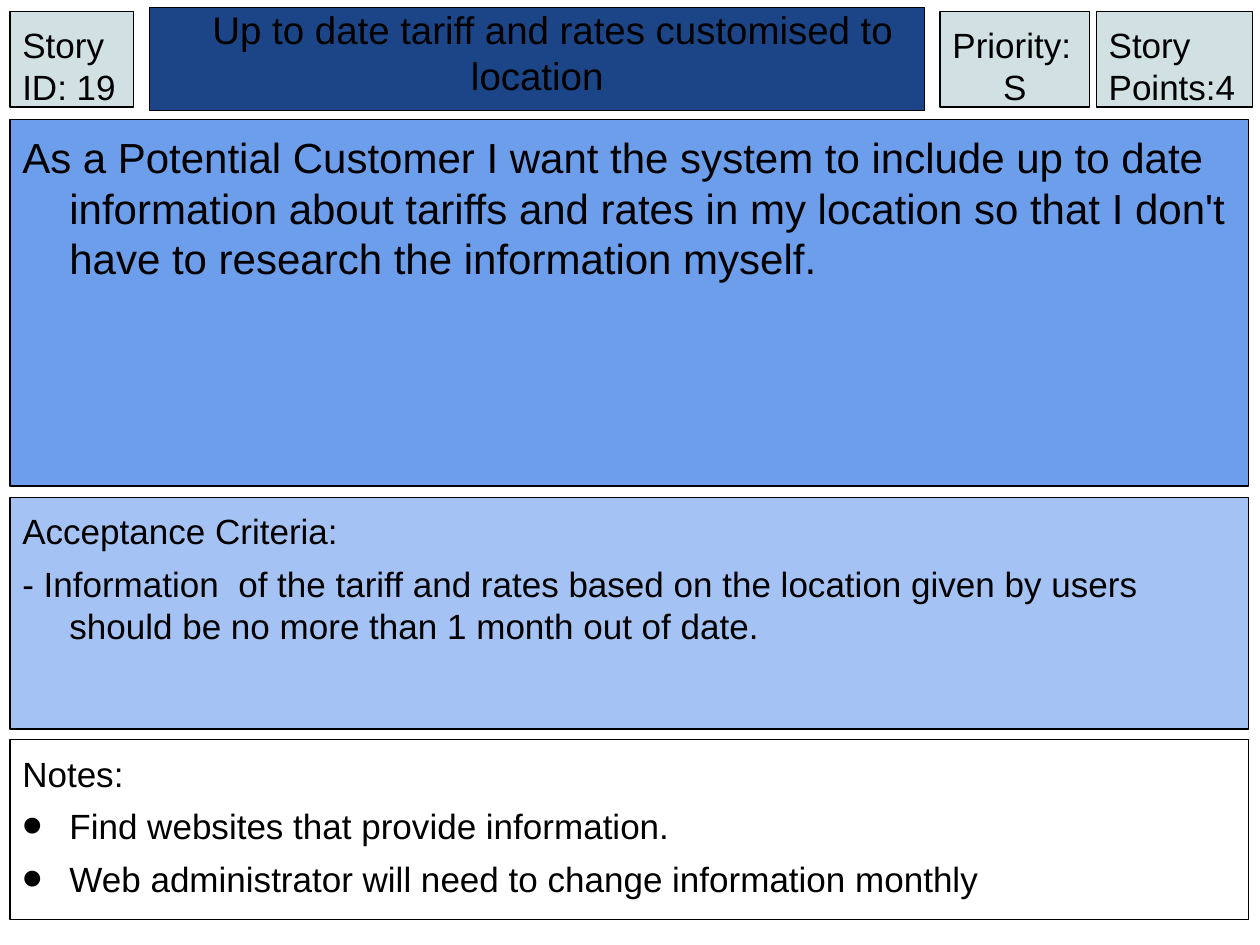
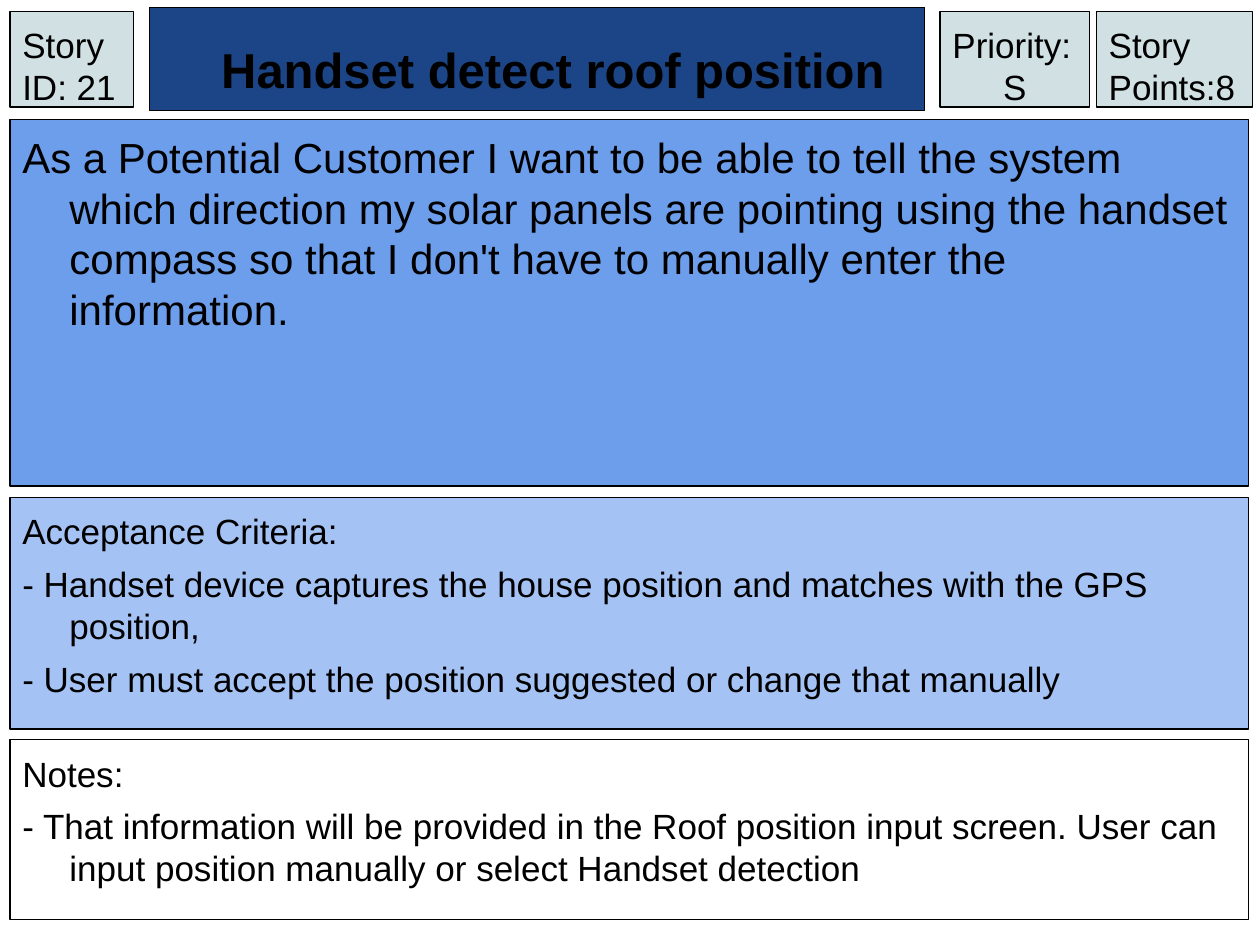
"""Build user story cards for a solar panel system, one card per slide."""
from dataclasses import dataclass

from lxml.etree import SubElement
from pptx import Presentation
from pptx.dml.color import RGBColor as Rgb
from pptx.enum.shapes import MSO_SHAPE as Shape
from pptx.enum.text import MSO_ANCHOR as Anchor, PP_ALIGN as Align
from pptx.oxml.ns import qn
from pptx.util import Cm, Pt


@dataclass(frozen=True)
class Theme:
    """Colours, type sizes and spacing shared by every card."""
    font: str = "Arial"
    ink: str = "000000"
    title_fill: str = "1C4587"
    story_fill: str = "6D9EEB"
    criteria_fill: str = "A4C2F4"
    label_fill: str = "D0E0E3"
    story_size: int = 24
    text_size: int = 20
    border: float = 0.75
    inset: float = 0.25
    hanging: float = 0.95
    title_indent: float = 0.63
    paragraph_gap: int = 6
    bullet_percent: int = 167


@dataclass(frozen=True)
class Story:
    """Wording of one story card."""
    number: int
    title: str
    title_size: int
    title_bold: bool
    points: int
    text: str
    criteria: tuple
    notes: tuple
    bulleted_notes: bool = False


THEME = Theme()
MARGIN, PANEL_WIDTH = 0.2, 24.97
LABEL_TOP, LABEL_HEIGHT = 0.23, 1.93

STORIES = (
    Story(
        19, "Up to date tariff and rates customised to location", 22, False, 4,
        "As a Potential Customer I want the system to include up to date information "
        "about tariffs and rates in my location so that I don't have to research the "
        "information myself.",
        ("- Information  of the tariff and rates based on the location given by users "
         "should be no more than 1 month out of date.",),
        ("Find websites that provide information.",
         "Web administrator will need to change information monthly"),
        bulleted_notes=True,
    ),
    Story(
        21, "Handset detect roof position", 28, True, 8,
        "As a Potential Customer I want to be able to tell the system which direction "
        "my solar panels are pointing using the handset compass so that I don't have "
        "to manually enter the information.",
        ("- Handset device captures the house position and matches with the GPS position,",
         "- User must accept the position suggested or change that manually"),
        ("- That information will be provided in the Roof position input screen. User can "
         "input position manually or select Handset detection",),
    ),
)


def add_box(slide, left, top, width, height, lines, size, fill=None, bold=False):
    """Add a bordered rectangle with one paragraph per line and return its text frame."""
    box = slide.shapes.add_shape(Shape.RECTANGLE, Cm(left), Cm(top), Cm(width), Cm(height))
    box.shadow.inherit = False
    if fill:
        box.fill.solid()
        box.fill.fore_color.rgb = Rgb.from_string(fill)
    else:
        box.fill.background()
    box.line.color.rgb = Rgb.from_string(THEME.ink)
    box.line.width = Pt(THEME.border)
    frame = box.text_frame
    frame.word_wrap = True
    frame.vertical_anchor = Anchor.TOP
    frame.margin_left = frame.margin_right = Cm(THEME.inset)
    frame.margin_top = frame.margin_bottom = Cm(THEME.inset)
    frame.text = "\n".join(lines)
    for paragraph in frame.paragraphs:
        paragraph.alignment = Align.LEFT
        for run in paragraph.runs:
            run.font.name = THEME.font
            run.font.size = Pt(size)
            run.font.bold = bold
            run.font.color.rgb = Rgb.from_string(THEME.ink)
    return frame


def set_indent(paragraph, left, first_line):
    """Set the left margin and first line indent of a paragraph."""
    properties = paragraph._p.get_or_add_pPr()
    properties.set("marL", str(Cm(left)))
    properties.set("indent", str(Cm(first_line)))


def add_bullet(paragraph):
    """Give a paragraph a large round bullet."""
    properties = paragraph._p.get_or_add_pPr()
    colour = SubElement(properties, qn("a:buClr"))
    SubElement(colour, qn("a:srgbClr"), val=THEME.ink)
    SubElement(properties, qn("a:buSzPct"), val=str(THEME.bullet_percent * 1000))
    SubElement(properties, qn("a:buFont"), typeface=THEME.font)
    SubElement(properties, qn("a:buChar"), char="•")


def add_panel(slide, top, height, lines, size, fill=None, bulleted=False):
    """Add a full-width panel with hanging paragraphs under its first line."""
    frame = add_box(slide, MARGIN, top, PANEL_WIDTH, height, lines, size, fill)
    for index, paragraph in enumerate(frame.paragraphs):
        set_indent(paragraph, THEME.hanging, -THEME.hanging)
        if index:
            paragraph.space_before = Pt(THEME.paragraph_gap)
            if bulleted:
                add_bullet(paragraph)


def add_label(slide, left, width, *lines):
    """Add a small label box in the top row and return its text frame."""
    return add_box(slide, left, LABEL_TOP, width, LABEL_HEIGHT, lines,
                   THEME.text_size, THEME.label_fill)


def add_title(slide, story):
    """Add the dark title band."""
    frame = add_box(slide, 3.02, 0.15, 15.62, 2.08, [story.title], story.title_size,
                    THEME.title_fill, story.title_bold)
    frame.vertical_anchor = Anchor.BOTTOM
    paragraph = frame.paragraphs[0]
    paragraph.alignment = Align.CENTER
    set_indent(paragraph, 0, THEME.title_indent)


def add_story_card(presentation, story):
    """Add one slide holding a complete story card."""
    slide = presentation.slides.add_slide(presentation.slide_layouts[6])
    add_panel(slide, 2.41, 7.39, [story.text], THEME.story_size, THEME.story_fill)
    add_title(slide, story)
    add_panel(slide, 10.03, 4.67, ["Acceptance Criteria:", *story.criteria],
              THEME.text_size, THEME.criteria_fill)
    add_panel(slide, 14.91, 3.63, ["Notes:", *story.notes], THEME.text_size,
              bulleted=story.bulleted_notes)
    add_label(slide, 22.1, 3.15, f"Story Points:{story.points}")
    priority = add_label(slide, 18.95, 3.02, "Priority:", "S")
    priority.paragraphs[1].alignment = Align.CENTER
    add_label(slide, MARGIN, 2.49, f"Story ID: {story.number}")


def main():
    """Build and save the presentation."""
    presentation = Presentation()
    presentation.slide_width = Cm(25.4)
    presentation.slide_height = Cm(19.05)
    for story in STORIES:
        add_story_card(presentation, story)
    presentation.save("out.pptx")


if __name__ == "__main__":
    main()
